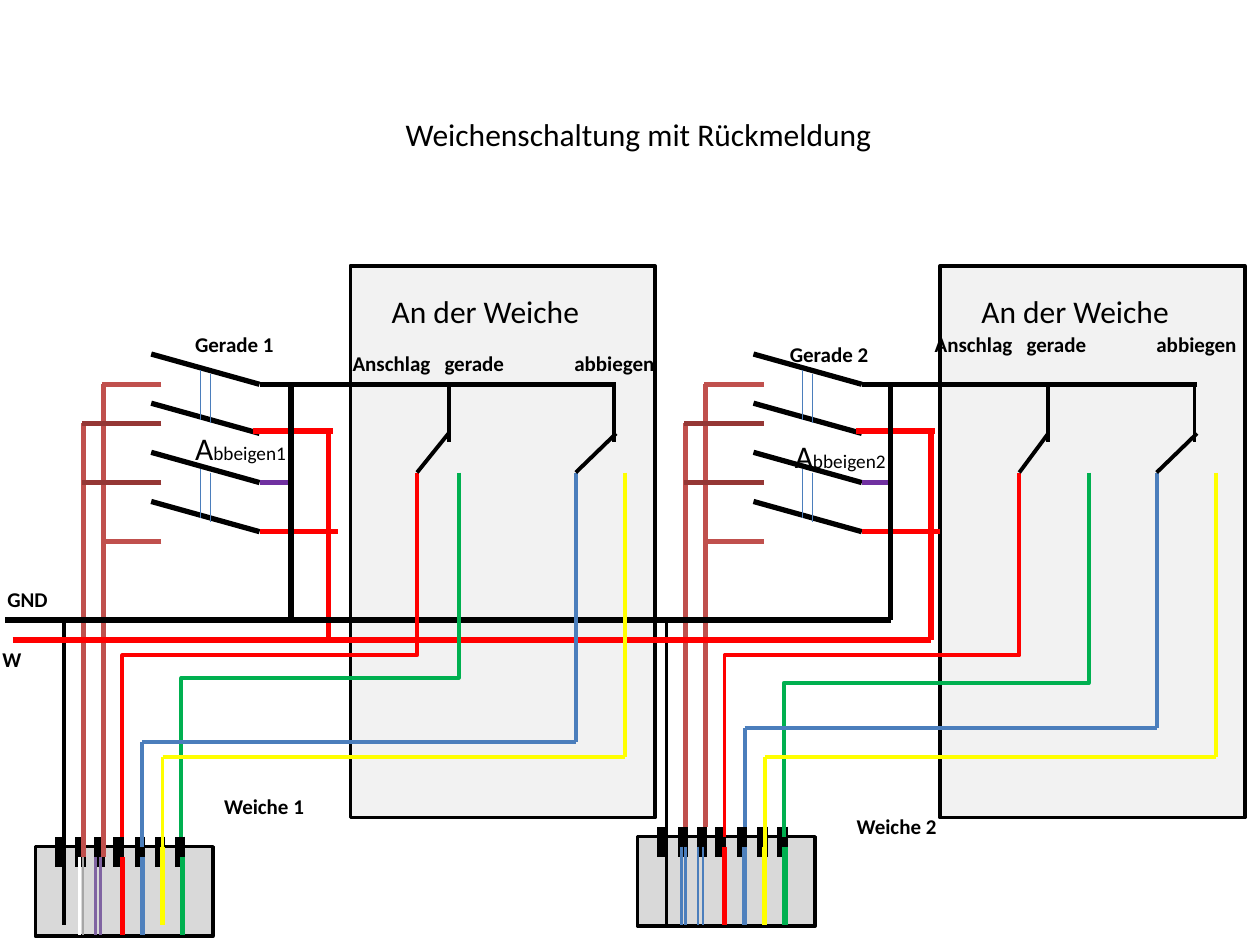
from dataclasses import dataclass
from lxml.etree import SubElement
from pptx import Presentation
from pptx.dml.color import RGBColor as RGB
from pptx.enum.shapes import MSO_CONNECTOR as Conn, MSO_SHAPE as Form
from pptx.enum.text import MSO_ANCHOR as Anchor, MSO_AUTO_SIZE as Auto, PP_ALIGN as Align
from pptx.oxml.ns import qn
from pptx.util import Inches, Pt


@dataclass(frozen=True)
class Theme:
    font: str = "Calibri"
    black: str = "000000"
    white: str = "FFFFFF"
    pale: str = "F2F2F2"
    plug: str = "D9D9D9"
    grey: str = "A6A6A6"
    red: str = "FF0000"
    green: str = "00B050"
    blue: str = "4B7EBC"
    core: str = "4F81BD"
    yellow: str = "FFFF00"
    rose: str = "C0504D"
    brown: str = "953735"
    violet: str = "7030A0"
    lilac: str = "8064A2"
    big: float = 18
    mid: float = 12
    small: float = 11
    hair: float = 0.75
    thin: float = 1.5
    edge: float = 2
    wire: float = 2.25
    bold: float = 3
    pin: float = 6


@dataclass(frozen=True)
class Unit:
    num: int
    dx: float
    dy: float
    box: float
    bus: float
    drop: float
    left: float
    right: float
    red: float
    green: float
    yellow: float
    low: float
    deep: float
    brown: float
    blue: float
    turn: tuple
    side: tuple
    name: tuple
    head: tuple
    cores: tuple


T = Theme()
UNITS = [
    Unit(1, 0, 0, 2.78, 4.89, 2.31, 3.56, 4.57, 3.31, 3.64, 4.96, 5.38, 5.89, 6.8, 6.72,
         (1.45, 2.58), (1.45, 3.36), (1.68, 6.25), (2.7, 2.73),
         (T.white, T.grey, T.lilac, T.lilac)),
    Unit(2, 4.78, -0.08, 7.46, 9.5, 7.07, 8.32, 9.18, 8.09, 8.64, 9.65, 5.42, 5.78, 6.56, 6.56,
         (6.17, 2.66), (6.21, 3.42), (6.7, 6.41), (7.32, 2.58), (T.blue,) * 4),
]
TOP, GND, HOT, TIP, PLUG = 3.05, 4.92, 5.08, 3.75, 6.64

deck = Presentation()
deck.slide_width, deck.slide_height = Inches(10), Inches(7.5)
slide = deck.slides.add_slide(deck.slide_layouts[5])
shapes = slide.shapes


def apply(item, style: dict) -> None:
    for key, value in style.items():
        setattr(item, key, value)


def line(x1: float, y1: float, x2: float, y2: float, color: str,
         width: float = T.bold, kind=Conn.STRAIGHT):
    item = shapes.add_connector(kind, *map(Inches, (x1, y1, x2, y2)))
    item.line.color.rgb = RGB.from_string(color)
    item.line.width = Pt(width)
    SubElement(item.element.spPr, qn("a:effectLst"))
    return item


def bent(x1: float, y1: float, x2: float, y2: float, mid: float, color: str) -> None:
    cx, cy = (x1 + x2) / 2, (y1 + y2) / 2
    w, h = (y2 - y1) / 2, (x1 - x2) / 2
    item = line(cx - w, cy - h, cx + w, cy + h, color, T.wire, Conn.ELBOW)
    props = item.element.spPr
    props.find(qn("a:xfrm")).set("rot", "5400000")
    geom = props.find(qn("a:prstGeom"))
    ratio = round((mid - y1) / (y2 - y1) * 100000)
    SubElement(geom.find(qn("a:avLst")), qn("a:gd"), name="adj1", fmla=f"val {ratio}")


def rect(x: float, y: float, w: float, h: float, fill: str) -> None:
    item = shapes.add_shape(Form.RECTANGLE, *map(Inches, (x, y, w, h)))
    item.shadow.inherit = False
    item.fill.solid()
    item.fill.fore_color.rgb = RGB.from_string(fill)
    item.line.color.rgb = RGB.from_string(T.black)
    item.line.width = Pt(T.edge)


def write(item, parts: list, bold: bool = False, wrap: bool = False) -> None:
    frame = item.text_frame
    apply(frame, {"word_wrap": wrap, "auto_size": Auto.SHAPE_TO_FIT_TEXT,
                  "vertical_anchor": Anchor.TOP})
    para = frame.paragraphs[0]
    para.alignment = Align.LEFT
    for words, size in parts:
        run = para.add_run()
        run.text = words
        apply(run.font, {"name": T.font, "size": Pt(size), "bold": bold})
        run.font.color.rgb = RGB.from_string(T.black)


def label(x: float, y: float, w: float, h: float, parts: list,
          bold: bool = False, stops: tuple = ()) -> None:
    item = shapes.add_textbox(*map(Inches, (x, y, w, h)))
    write(item, parts, bold, bool(stops))
    if stops:
        props = item.text_frame.paragraphs[0]._p.get_or_add_pPr()
        tabs = SubElement(props, qn("a:tabLst"))
        for stop in stops:
            SubElement(tabs, qn("a:tab"), pos=str(Inches(stop)), algn="l")


def note(x: float, y: float, w: float, words: str) -> None:
    label(x, y, w, 0.3, [(words, T.mid)], True)


def switch(u: Unit) -> None:
    for x in (0.48, 0.64, 0.79, 0.94, 1.11, 1.27, 1.43):
        line(x + u.dx, PLUG + u.dy, x + u.dx, PLUG + u.dy + 0.24, T.black, T.pin)
    line(0.51 + u.dx, GND, 0.51 + u.dx, 7.34, T.black, T.wire)
    for x, y in ((0.66, 3.36), (0.82, TOP)):
        line(x + u.dx, u.brown, x + u.dx, y, T.rose)
    for i in range(4):
        y = 2.81 + 0.39 * i
        line(1.2 + u.dx, y, 2.06 + u.dx, y + 0.24, T.black)
    for y in (2.94, 3.72):
        for step in (0, 1):
            x, top = 1.59 + u.dx + 0.08 * step, y + 0.03 * step
            line(x, top, x, top + 0.39, T.blue, T.hair)
    for x, y, color in ((0.81, TOP, T.rose), (0.81, 4.3, T.rose),
                        (0.65, 3.83, T.brown), (0.65, 3.36, T.brown)):
        line(1.28 + u.dx, y, x + u.dx, y, color)
    line(u.bus, TOP, 2.06 + u.dx, TOP, T.black)
    for x1, x2, y, color in ((2.29, 2.06, 3.83, T.violet), (2.68, 2.06, 4.22, T.red),
                             (2.64, 2.01, 3.42, T.red)):
        line(x1 + u.dx, y, x2 + u.dx, y, color)
    line(u.drop, TOP, u.drop, GND, T.black)
    line(2.61 + u.dx, 3.44, 2.61 + u.dx, HOT, T.red)
    label(*u.side, 0.93, 0.4, [("A", T.big), (f"bbeigen{u.num}", T.small)])
    note(*u.turn, 0.82, f"Gerade {u.num}")
    note(*u.name, 0.84, f"Weiche {u.num}")


def wires(u: Unit) -> None:
    bent(u.red, TIP, 0.97 + u.dx, PLUG, 5.2, T.red)
    bent(u.green, TIP, 1.44 + u.dx, PLUG, u.low, T.green)
    for x, far, y, end, color in ((1.13, u.right, u.deep, u.blue, T.blue),
                                  (1.29, u.yellow, 6.01, 6.88, T.yellow)):
        near = x + u.dx
        line(near, y, near, end, color, T.wire)
        line(near, y, far, y, color, T.wire)
        line(far, TIP, far, y, color, T.wire)
    for x, tip in ((u.left, u.red), (u.bus, u.right)):
        stem = x if x == u.left else x - 0.02
        line(stem, TOP, stem, 3.51, T.black, T.wire)
        line(x, 3.44, tip, TIP, T.black, T.wire)
    label(*u.head, 2.64, 0.3, [("Anschlag\tgerade\tabbiegen", T.mid)], True, (0.73, 1.76))
    label(u.box + 0.23, 2.27, 1.71, 0.4, [("An der Weiche", T.big)])
    line(1.29 + u.dx, 6.72, 1.29 + u.dx, 7.34, T.yellow)
    tails = [(1.45, T.green, T.bold), (1.13, T.core, T.bold), (0.97, T.red, T.bold)]
    tails += [(x, c, T.thin) for x, c in zip((0.63, 0.66, 0.76, 0.8), u.cores)]
    for x, color, width in tails:
        line(x + u.dx, 6.8 + u.dy, x + u.dx, 7.42 + u.dy, color, width)


title = shapes.title
apply(title, {"left": Inches(3.12), "top": Inches(0.86),
              "width": Inches(3.94), "height": Inches(0.4)})
write(title, [("Weichenschaltung mit Rückmeldung", T.big)])
for u in UNITS:
    rect(0.28 + u.dx, 6.72 + u.dy, 1.41, 0.71, T.plug)
    rect(u.box, 2.11, 2.42, 4.38, T.pale)
for u in UNITS:
    switch(u)
line(0.04, GND, 7.07, GND, T.black)
line(0.1, HOT, 7.39, HOT, T.red)
note(-0.04, 4.61, 0.53, "GND")
note(-0.08, 5.08, 0.35, "W")
for u in UNITS:
    wires(u)
deck.save("out.pptx")
